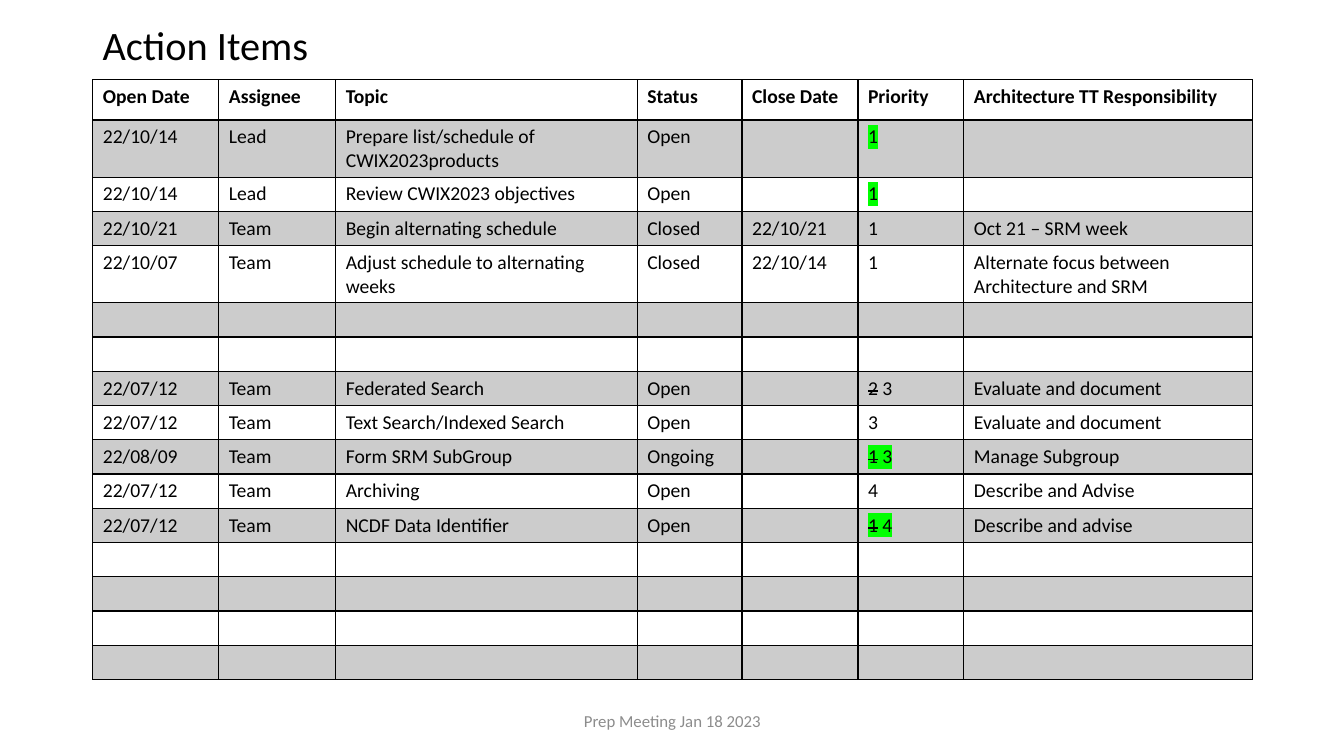
import pptx
import pptx.dml.color
import pptx.enum.text
import pptx.oxml
import pptx.oxml.ns
import pptx.util
from pptx.util import Inches

FONT = "Calibri"
BLACK = "000000"
GREEN = "00FF00"
BODY = 14
WIDTHS = [1.25, 1.16, 2.99, 1.04, 1.15, 1.05, 2.86]
HEADS = ["Open Date", "Assignee", "Topic", "Status", "Close Date",
         "Priority", "Architecture TT Responsibility"]
BLANK = [""] * len(HEADS)

# A cell is plain text or a list of (text, marks): "h" highlight, "s" strike.
FIRST = [("1", "h")]
ITEMS = [
    ["22/10/14", "Lead", "Prepare list/schedule of CWIX2023products", "Open", "", FIRST, ""],
    ["22/10/14", "Lead", "Review CWIX2023 objectives", "Open", "", FIRST, ""],
    ["22/10/21", "Team", "Begin alternating schedule", "Closed", "22/10/21", "1",
     "Oct 21 – SRM week"],
    ["22/10/07", "Team", "Adjust schedule to alternating weeks", "Closed", "22/10/14", "1",
     "Alternate focus between Architecture and SRM"],
    BLANK,
    BLANK,
    ["22/07/12", "Team", "Federated Search", "Open", "", [("2", "s"), (" 3", "")],
     "Evaluate and document"],
    ["22/07/12", "Team", "Text Search/Indexed Search", "Open", "", "3",
     "Evaluate and document"],
    ["22/08/09", "Team", "Form SRM SubGroup", "Ongoing", "", [("1", "hs"), (" 3", "h")],
     "Manage Subgroup"],
    ["22/07/12", "Team", "Archiving", "Open", "", "4", "Describe and Advise"],
    ["22/07/12", "Team", "NCDF Data Identifier", "Open", "", [("1", "hs"), (" 4", "h")],
     "Describe and advise"],
    BLANK,
    BLANK,
    BLANK,
    BLANK,
]


def rgb(code):
    return pptx.dml.color.RGBColor.from_string(code)


def make(tag, inner="", attrs=""):
    """Build one DrawingML element."""
    space = pptx.oxml.ns.nsdecls("a")
    return pptx.oxml.parse_xml(f"<a:{tag} {space} {attrs}>{inner}</a:{tag}>")


def add_run(para, text, size, color=BLACK, bold=False, marks=""):
    run = para.add_run()
    run.text = text
    font = run.font
    font.name = FONT
    font.size = pptx.util.Pt(size)
    font.bold = bold
    font.color.rgb = rgb(color)
    props = run._r.get_or_add_rPr()
    if "s" in marks:
        props.set("strike", "sngStrike")
    if "h" in marks:
        light = make("highlight", f'<a:srgbClr val="{GREEN}"/>')
        props.find(pptx.oxml.ns.qn("a:solidFill")).addnext(light)


def add_label(slide, box, text, size, color=BLACK, align=None, lead=None):
    shape = slide.shapes.add_textbox(*map(Inches, box))
    frame = shape.text_frame
    frame.word_wrap = True
    frame.vertical_anchor = pptx.enum.text.MSO_ANCHOR.MIDDLE
    para = frame.paragraphs[0]
    para.alignment = align
    para.line_spacing = lead
    add_run(para, text, size, color)


def set_edges(cell, base):
    """Draw the four borders; base is the lower one's width in points."""
    props = cell._tc.get_or_add_tcPr()
    for side, width in zip("LRTB", (1, 1, 1, base)):
        ink = f'<a:solidFill><a:srgbClr val="{BLACK}"/></a:solidFill>'
        props.append(make("ln" + side, ink, f'w="{pptx.util.Pt(width)}"'))


def set_fill(cell, shaded):
    if not shaded:
        cell.fill.background()
        return
    cell.fill.solid()
    cell.fill.fore_color.rgb = rgb(BLACK)
    tint = cell._tc.xpath("a:tcPr/a:solidFill/a:srgbClr")[0]
    tint.append(make("alpha", attrs='val="20000"'))


def fill_cell(cell, value, head, shaded):
    set_edges(cell, 2 if head else 1)
    set_fill(cell, shaded)
    para = cell.text_frame.paragraphs[0]
    if not value:
        para._p.append(make("endParaRPr", attrs=f'sz="{BODY * 100}"'))
        return
    runs = [(value, "")] if isinstance(value, str) else value
    for text, marks in runs:
        add_run(para, text, BODY, bold=head, marks=marks)


def add_grid(slide):
    rows = [HEADS] + ITEMS
    frame = slide.shapes.add_table(len(rows), len(HEADS), Inches(0.92), Inches(0.79),
                                   Inches(11.5), Inches(5.5))
    table = frame.table
    table.horz_banding = False
    for column, width in zip(table.columns, WIDTHS):
        column.width = Inches(width)
    for i, values in enumerate(rows):
        table.rows[i].height = Inches(0.34 if i else 0.4)
        for j, value in enumerate(values):
            fill_cell(table.cell(i, j), value, i == 0, i % 2 == 1)


def main():
    deck = pptx.Presentation()
    deck.slide_width = Inches(13.33)
    deck.slide_height = Inches(7.5)
    slide = deck.slides.add_slide(deck.slide_layouts[6])
    add_label(slide, (0.92, 0.26, 11.5, 0.42), "Action Items", 28.8, lead=0.9)
    add_grid(slide)
    add_label(slide, (4.42, 6.95, 4.5, 0.4), "Prep Meeting Jan 18 2023", 12, "8C8C8C",
              pptx.enum.text.PP_ALIGN.CENTER)
    deck.save("out.pptx")


if __name__ == "__main__":
    main()
